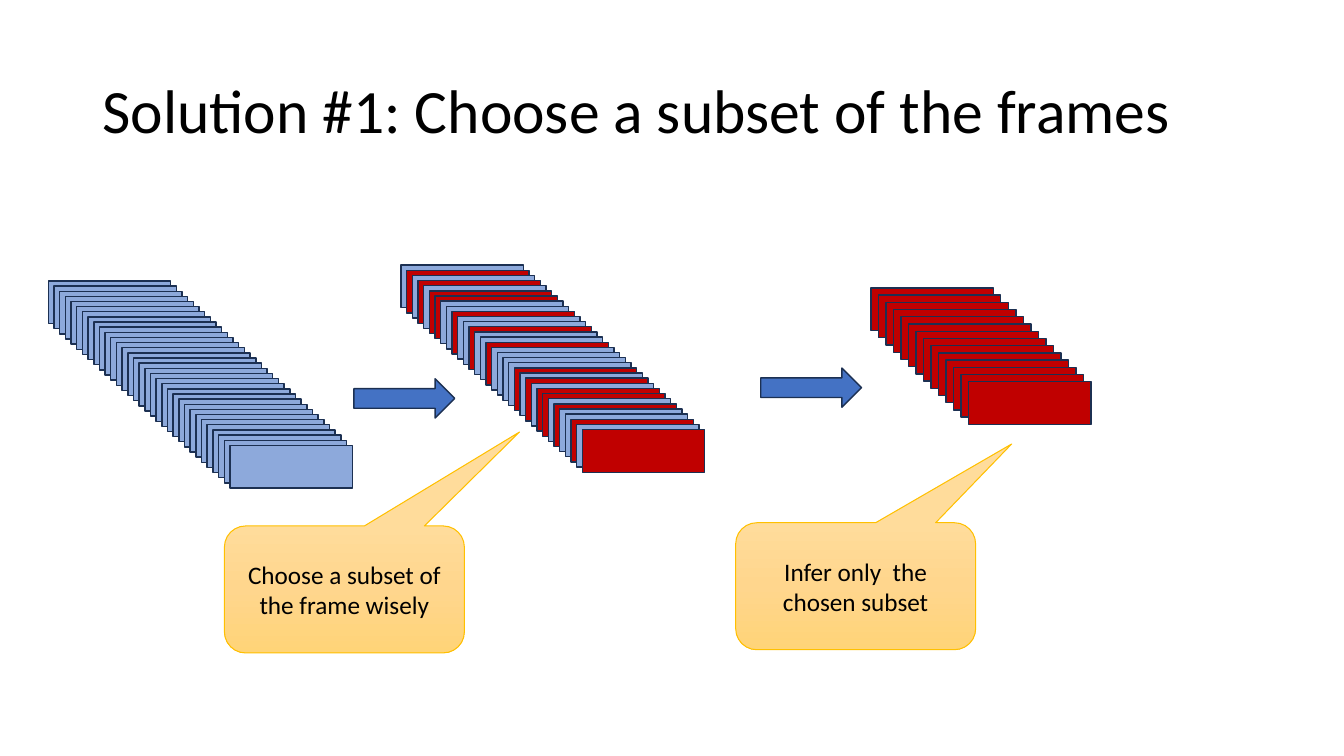
import copy
from dataclasses import dataclass

import pptx
import pptx.dml.color
import pptx.enum.shapes
import pptx.enum.text
import pptx.oxml.ns
import pptx.util

Pt = pptx.util.Pt
SHAPE = pptx.enum.shapes.MSO_SHAPE
ALIGN = pptx.enum.text.PP_ALIGN
ANCHOR = pptx.enum.text.MSO_ANCHOR


@dataclass(frozen=True)
class Theme:
    font: str = "Calibri"
    text: str = "000000"
    frame: str = "8DA9DB"
    chosen: str = "C00000"
    outline: str = "1C3052"
    arrow: str = "4472C4"
    callout_line: str = "FFC000"
    callout_stops: tuple = ((0, "FFDC9B"), (0.5, "FFD68D"), (1, "FFD478"))
    title_size: int = 44
    callout_size: int = 18


THEME = Theme()
FRAME_SIZE = (87.4, 30.5)
FRAME_STEP = (4.05, 3.67)
CHOSEN_STEP = (5.37, 5.15)
ARROW_SIZE = (72, 28)
CALLOUT_SIZE = (171.4, 90.7)
SELECTION = "BRBRBRRBBRBBRBBRBBBBRBRBRRBRBBRBR"


def rgb(value):
    return pptx.dml.color.RGBColor.from_string(value)


def set_text(text_frame, wording, size, align):
    text_frame.word_wrap = True
    text_frame.vertical_anchor = ANCHOR.MIDDLE
    paragraph = text_frame.paragraphs[0]
    paragraph.alignment = align
    run = paragraph.add_run()
    run.text = wording
    run.font.name = THEME.font
    run.font.size = Pt(size)
    run.font.color.rgb = rgb(THEME.text)
    return paragraph


def add_title(slide, wording):
    title = slide.shapes.title
    title.left, title.top, title.width, title.height = Pt(66), Pt(28.75), Pt(828), Pt(104.4)
    paragraph = set_text(title.text_frame, wording, THEME.title_size, ALIGN.LEFT)
    paragraph.line_spacing = 0.9


def add_outlined(shapes, kind, position, size, line, weight):
    outlined = shapes.add_shape(kind, *(Pt(length) for length in (*position, *size)))
    outlined.shadow.inherit = False
    outlined.line.color.rgb = rgb(line)
    outlined.line.width = Pt(weight)
    return outlined


def add_solid(shapes, kind, position, size, color):
    solid = add_outlined(shapes, kind, position, size, THEME.outline, 1)
    solid.fill.solid()
    solid.fill.fore_color.rgb = rgb(color)


def add_frame_stack(slide, origin, step, colors):
    stack = slide.shapes.add_group_shape()
    for index, color in enumerate(colors):
        position = [start + index * shift for start, shift in zip(origin, step)]
        add_solid(stack.shapes, SHAPE.RECTANGLE, position, FRAME_SIZE, color)


def add_arrow(slide, position):
    add_solid(slide.shapes, SHAPE.RIGHT_ARROW, position, ARROW_SIZE, THEME.arrow)


def add_callout(slide, position, pointer, wording):
    callout = add_outlined(slide.shapes, SHAPE.ROUNDED_RECTANGULAR_CALLOUT, position,
                           CALLOUT_SIZE, THEME.callout_line, 0.75)
    callout.adjustments[0], callout.adjustments[1] = pointer
    callout.fill.gradient()
    callout.fill.gradient_angle = 270
    stop_list = callout.fill._xPr.find(".//" + pptx.oxml.ns.qn("a:gsLst"))
    stop_list.insert(1, copy.deepcopy(stop_list[0]))
    for stop, (place, color) in zip(callout.fill.gradient_stops, THEME.callout_stops):
        stop.position = place
        stop.color.rgb = rgb(color)
    set_text(callout.text_frame, wording, THEME.callout_size, ALIGN.CENTER)


def main():
    presentation = pptx.Presentation()
    presentation.slide_width = Pt(960)
    presentation.slide_height = Pt(540)
    slide = presentation.slides.add_slide(presentation.slide_layouts[5])

    add_title(slide, "Solution #1: Choose a subset of the frames")

    palette = {"B": THEME.frame, "R": THEME.chosen}
    selected = [palette[mark] for mark in SELECTION]
    chosen = [color for color in selected if color == THEME.chosen]
    add_frame_stack(slide, (34.6, 200.7), FRAME_STEP, [THEME.frame] * len(selected))
    add_frame_stack(slide, (286.4, 189.4), FRAME_STEP, selected)
    add_frame_stack(slide, (622.1, 205.7), CHOSEN_STEP, chosen)

    add_callout(slide, (160.3, 375.7), (0.73, -1.24), "Choose a subset of the frame wisely")
    add_arrow(slide, (252.8, 270.6))
    add_arrow(slide, (543.4, 262.9))
    add_callout(slide, (525.5, 373.4), (0.65, -1.12), "Infer only  the chosen subset")

    presentation.save("out.pptx")


if __name__ == "__main__":
    main()
